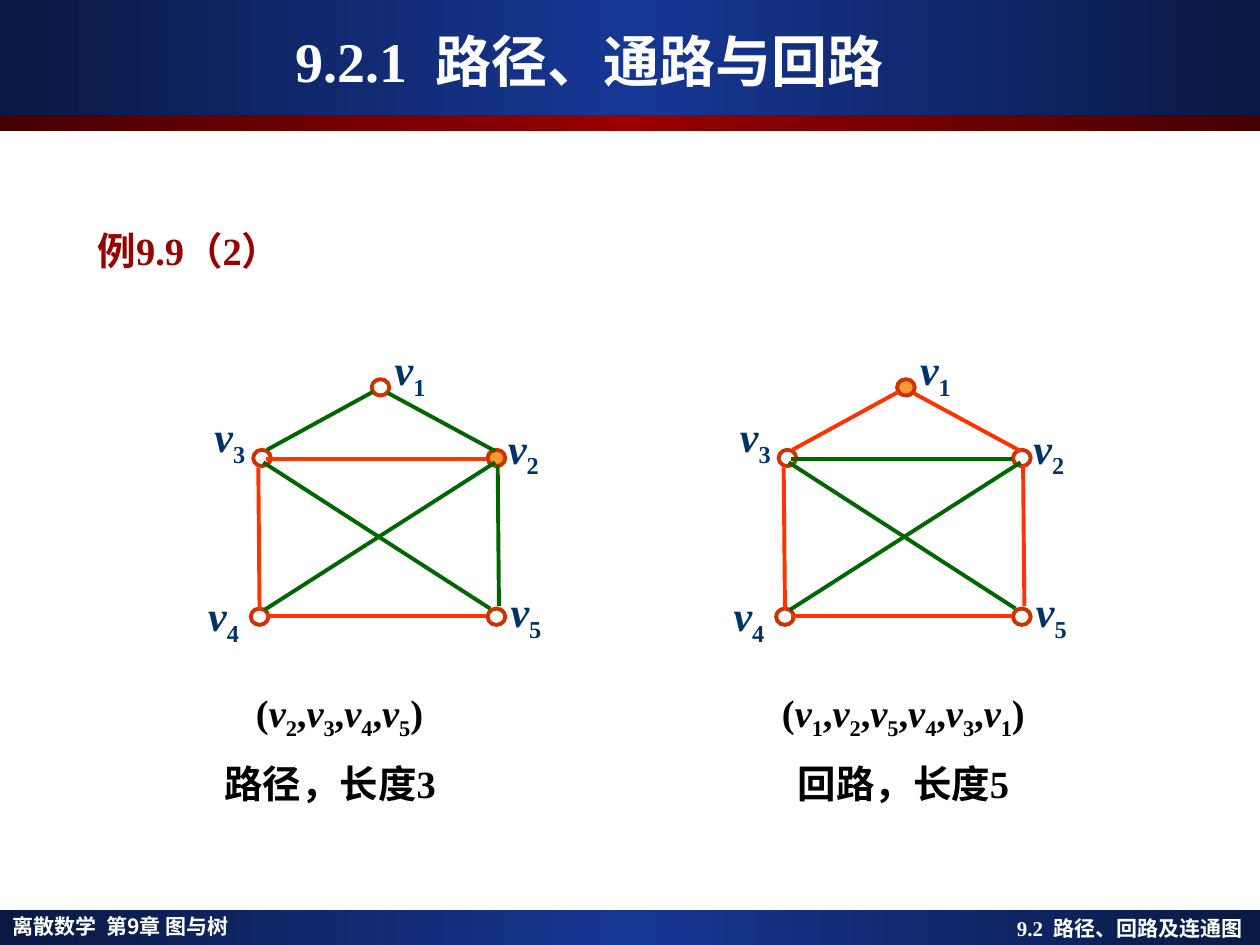
"""Build the slide on walks and circuits in a five-vertex graph."""
from copy import deepcopy
from itertools import pairwise
from typing import NamedTuple

from pptx import Presentation
from pptx.dml.color import RGBColor
from pptx.enum.shapes import MSO_CONNECTOR, MSO_SHAPE
from pptx.enum.text import MSO_ANCHOR, MSO_AUTO_SIZE, PP_ALIGN
from pptx.oxml.ns import qn
from pptx.oxml.xmlchemy import OxmlElement
from pptx.util import Inches, Pt

LEFT, CENTER, RIGHT = PP_ALIGN.LEFT, PP_ALIGN.CENTER, PP_ALIGN.RIGHT
MIDDLE = MSO_ANCHOR.MIDDLE
NO_FIT, GROW = MSO_AUTO_SIZE.NONE, MSO_AUTO_SIZE.SHAPE_TO_FIT_TEXT
OVAL, RECTANGLE = MSO_SHAPE.OVAL, MSO_SHAPE.RECTANGLE
STRAIGHT = MSO_CONNECTOR.STRAIGHT
SERIF, SANS = "Times New Roman", "Noto Sans CJK JP"
WIDTH, HEIGHT = Inches(10), Inches(7.5)
COLUMNS, ROWS = 100, 75
NAVY, BLUE, MAROON, RED = "0A1944", "163794", "460000", "990000"
WHITE, BLACK, LABEL = "FFFFFF", "000000", "003366"
RING, START, ON_WALK, OFF_WALK = "CC3300", "FF9933", "FF3300", "006600"


class Area(NamedTuple):
    column: float
    row: float
    columns: float
    rows: float


class Bar(NamedTuple):
    area: Area
    edge: str
    middle: str


class Span(NamedTuple):
    text: str
    italic: bool = False
    lowered: bool = False
    spacing: float = 0


class Style(NamedTuple):
    size: float
    color: str
    align: int = CENTER
    latin: str = SERIF


class Vertex(NamedTuple):
    column: float
    row: float
    label_column: float
    label_row: float


class Edge(NamedTuple):
    ends: str
    start: tuple[float, float]
    stop: tuple[float, float]


class Graph(NamedTuple):
    shift: float
    walk: str
    kind: str
    caption: Area
    indent: float


BARS = [
    Bar(Area(0, 72.2, 100, 2.8), NAVY, BLUE),
    Bar(Area(0, 0, 100, 9.1), NAVY, BLUE),
    Bar(Area(0, 9.1, 100, 1.3), MAROON, RED),
]
VERTICES = {
    "1": Vertex(29.5, 30.1, 30.9, 27.3),
    "3": Vertex(20.1, 35.7, 16.6, 32.6),
    "2": Vertex(38.7, 35.7, 39.9, 33.5),
    "4": Vertex(19.9, 48.3, 16.1, 46.8),
    "5": Vertex(38.7, 48.3, 40.1, 46.5),
}
EDGES = [
    Edge("45", (21.1, 48.9), (38.6, 48.9)),
    Edge("42", (21, 48.4), (39.3, 36.7)),
    Edge("32", (21.1, 36.4), (38.6, 36.4)),
    Edge("34", (20.5, 37.1), (20.6, 48.4)),
    Edge("25", (39.5, 36.9), (39.6, 48.1)),
    Edge("31", (21.2, 35.7), (29.6, 31.1)),
    Edge("12", (30.8, 31.2), (39.3, 35.8)),
    Edge("35", (20.9, 36.7), (38.9, 48.3)),
]
GRAPHS = [
    Graph(0, "2345", "路径", Area(13.3, 52.5, 25.8, 12), 1.5),
    Graph(41.7, "125431", "回路", Area(56.7, 52.5, 30, 12), 0),
]


def across(columns: float) -> int:
    return round(WIDTH * columns / COLUMNS)


def down(rows: float) -> int:
    return round(HEIGHT * rows / ROWS)


def place(area: Area) -> tuple[int, int, int, int]:
    return across(area.column), down(area.row), across(area.columns), down(area.rows)


def color(value: str) -> RGBColor:
    return RGBColor.from_string(value)


def write(para, spans: list[Span], style: Style) -> None:
    para.text = ""
    para.alignment = style.align
    for span in spans:
        run = para.add_run()
        run.text = span.text
        font = run.font
        font.size, font.bold, font.italic = Pt(style.size), True, span.italic
        font.name, font.color.rgb = style.latin, color(style.color)
        properties = run._r.get_or_add_rPr()
        east_asian = OxmlElement("a:ea")
        east_asian.set("typeface", SANS)
        properties.find(qn("a:latin")).addnext(east_asian)
        if span.lowered:
            properties.set("baseline", "-25000")
        if span.spacing:
            properties.set("spc", str(round(span.spacing * 100)))


def add_text(shapes, area: Area, spans: list[Span], style: Style, fit=GROW, inset=True):
    box = shapes.add_textbox(*place(area))
    frame = box.text_frame
    frame.word_wrap, frame.auto_size = True, fit
    if not inset:
        frame.margin_left = frame.margin_right = 0
        frame.margin_top = frame.margin_bottom = 0
    write(frame.paragraphs[0], spans, style)
    return frame


def numbered(number: str, heading: str, spacing: float) -> list[Span]:
    return [Span(number), Span(" ", spacing=spacing), Span(heading)]


def vertex_name(key: str) -> list[Span]:
    return [Span("v", italic=True), Span(key, lowered=True)]


def add_bar(page, bar: Bar) -> None:
    shape = page.shapes.add_shape(RECTANGLE, *place(bar.area))
    shape.shadow.inherit = False
    shape.line.fill.background()
    shape.fill.gradient()
    shape.fill.gradient_angle = 0
    stop_list = shape._element.spPr.find(".//" + qn("a:gsLst"))
    stop_list.insert(1, deepcopy(stop_list[0]))
    shades = [(0, bar.edge), (0.5, bar.middle), (1, bar.edge)]
    for stop, (position, shade) in zip(shape.fill.gradient_stops, shades):
        stop.position, stop.color.rgb = position, color(shade)


def add_vertex(shapes, vertex: Vertex, shift: float, filled: bool) -> None:
    area = Area(vertex.column + shift, vertex.row, 1.4, 1.3)
    circle = shapes.add_shape(OVAL, *place(area))
    circle.shadow.inherit = False
    circle.line.color.rgb, circle.line.width = color(RING), Pt(2.25)
    if filled:
        circle.fill.solid()
        circle.fill.fore_color.rgb = color(START)
    else:
        circle.fill.background()


def add_edge(shapes, edge: Edge, shift: float, shade: str) -> None:
    (left, top), (right, bottom) = edge.start, edge.stop
    line = shapes.add_connector(
        STRAIGHT, across(left + shift), down(top), across(right + shift), down(bottom))
    line.line.color.rgb, line.line.width = color(shade), Pt(2.25)
    line._element.spPr.append(OxmlElement("a:effectLst"))


def add_graph(page, graph: Graph) -> None:
    shapes = page.shapes.add_group_shape().shapes
    for key, vertex in VERTICES.items():
        add_vertex(shapes, vertex, graph.shift, key == graph.walk[0])
    for key, vertex in VERTICES.items():
        area = Area(vertex.label_column + graph.shift, vertex.label_row, 3.3, 4.6)
        add_text(shapes, area, vertex_name(key), Style(24, LABEL), inset=False)
    steps = {frozenset(step) for step in pairwise(graph.walk)}
    for edge in EDGES:
        shade = ON_WALK if frozenset(edge.ends) in steps else OFF_WALK
        add_edge(shapes, edge, graph.shift, shade)


def add_caption(page, graph: Graph) -> None:
    spans = []
    for key in graph.walk:
        spans += [Span("," if spans else "("), *vertex_name(key)]
    style = Style(22, BLACK)
    frame = add_text(page.shapes, graph.caption, [*spans, Span(")")], style)
    frame.paragraphs[0]._p.get_or_add_pPr().set("marL", str(across(graph.indent)))
    length = Span(f"{graph.kind}，长度{len(graph.walk) - 1}")
    write(frame.add_paragraph(), [length], style)
    for para in frame.paragraphs:
        para.line_spacing = 1.4


def main() -> None:
    deck = Presentation()
    deck.slide_width, deck.slide_height = WIDTH, HEIGHT
    page = deck.slides.add_slide(deck.slide_layouts[5])
    for bar in BARS:
        add_bar(page, bar)
    title = page.shapes.title
    title.left, title.top, title.width, title.height = place(Area(3.3, 1.7, 87, 6.2))
    title.text_frame.auto_size, title.text_frame.vertical_anchor = NO_FIT, MIDDLE
    write(title.text_frame.paragraphs[0], numbered("9.2.1", "路径、通路与回路", 8), Style(32, WHITE))
    page.shapes._spTree.append(title._element)
    course = add_text(page.shapes, Area(0, 72.2, 41.3, 2.8),
                      numbered("离散数学", "第9章 图与树", 3), Style(12, WHITE, LEFT, SANS), NO_FIT)
    course.paragraphs[0].line_spacing = 0.9
    add_text(page.shapes, Area(74.4, 72.2, 25.2, 3),
             numbered("9.2", "路径、回路及连通图", 3), Style(12, WHITE, RIGHT))
    add_text(page.shapes, Area(2.5, 17.5, 25, 4.7), [Span("例9.9（2）")], Style(22, RED))
    for graph in reversed(GRAPHS):
        add_caption(page, graph)
    for graph in GRAPHS:
        add_graph(page, graph)
    deck.save("out.pptx")


if __name__ == "__main__":
    main()
